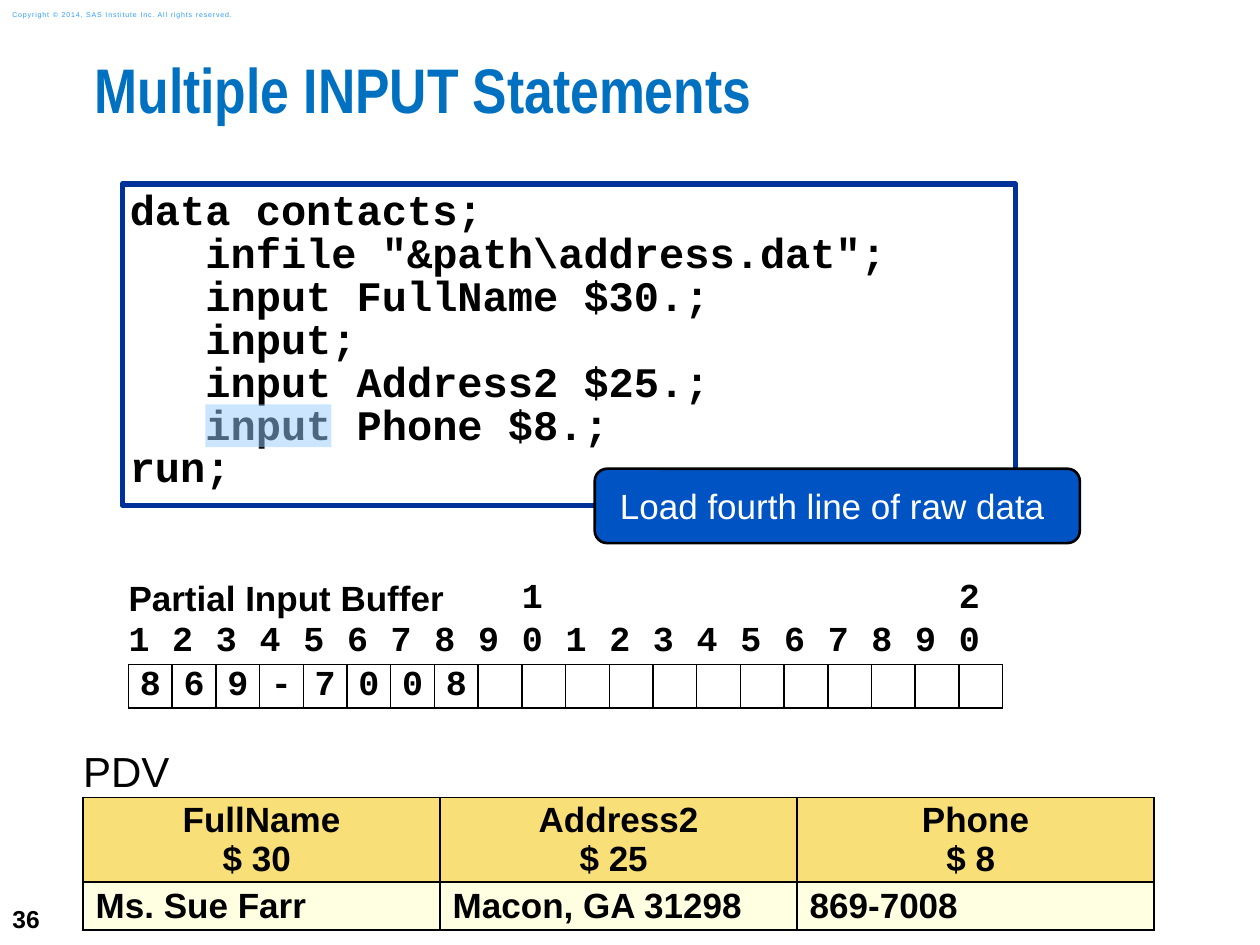
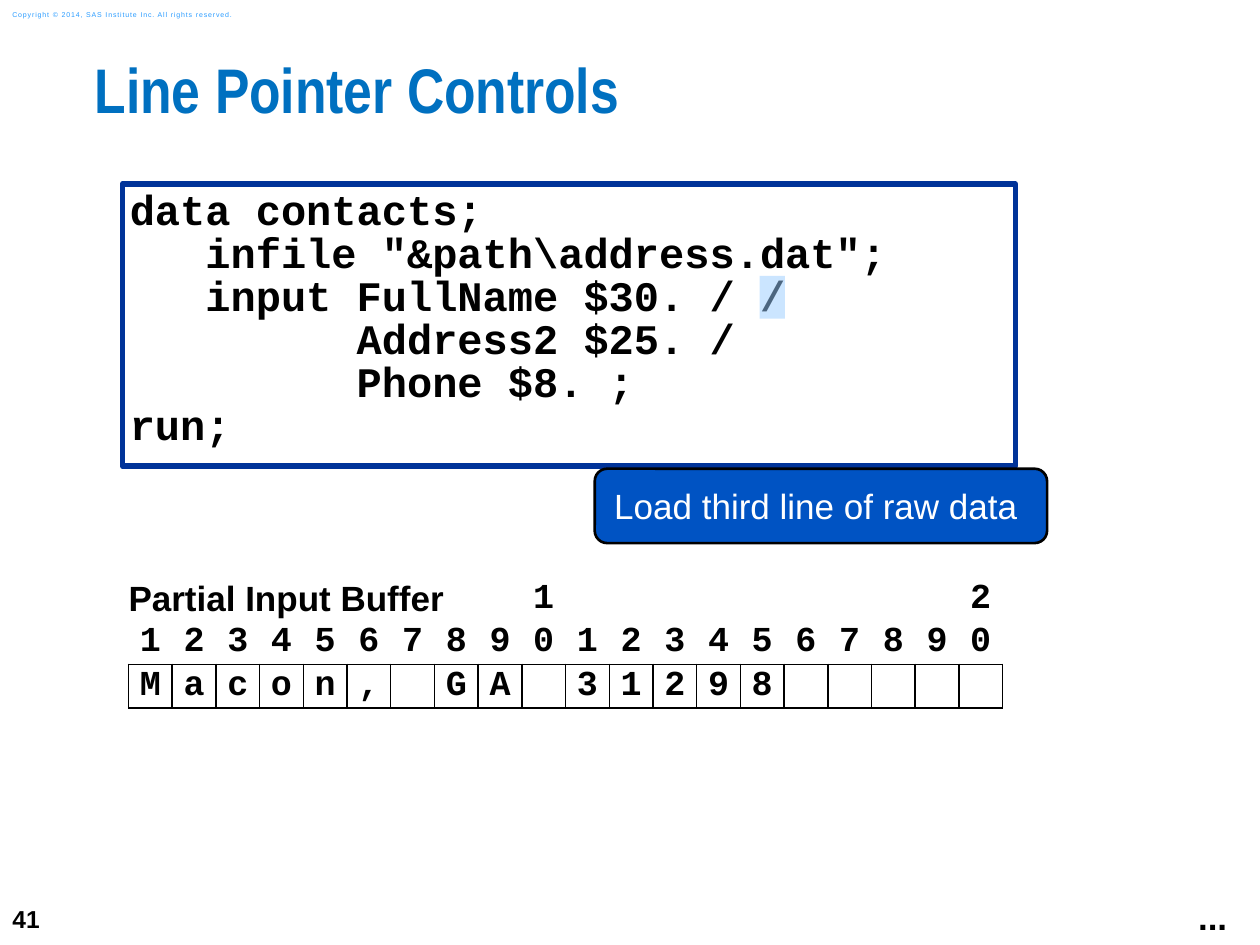
from dataclasses import dataclass

from lxml import etree
from pptx import Presentation
from pptx.dml.color import RGBColor
from pptx.enum.shapes import MSO_SHAPE
from pptx.enum.text import MSO_ANCHOR, MSO_AUTO_SIZE, PP_ALIGN
from pptx.oxml.ns import qn
from pptx.util import Inches, Pt

LEFT, CENTER = PP_ALIGN.LEFT, PP_ALIGN.CENTER
TOP, MIDDLE = MSO_ANCHOR.TOP, MSO_ANCHOR.MIDDLE
RECTANGLE, ROUNDED = MSO_SHAPE.RECTANGLE, MSO_SHAPE.ROUNDED_RECTANGLE

COLORS = {
    "title": "0070C0",
    "copyright": "2A9CFF",
    "text": "000000",
    "paper": "FFFFFF",
    "code_frame": "003399",
    "callout": "0053C3",
    "highlight": "99CCFF",
    "variable": "F9DF78",
    "value": "FFFFE1",
}
SANS, NARROW, MONO = "Arial", "Arial Narrow", "Courier New"
NO_STYLE = "{2D5ABB26-0587-4C30-8999-92F81FD0307C}"
TITLE_ONLY = 5

# The slide is a grid of 100 columns by 75 rows of square units.
COLUMNS, ROWS = 100, 75
UNIT = Inches(0.1)
BUFFER_LENGTH = 20
CODE_INSET = 0.6
CODE_CHAR = 2
CODE_LINE = 3.4


@dataclass
class Box:
    left: float
    top: float
    width: float
    height: float

    def emu(self):
        return [units(n) for n in (self.left, self.top, self.width, self.height)]


TITLE_BOX = Box(7.5, 5, 92.5, 7.4)
COPYRIGHT_BOX = Box(0, 0.3, 21.1, 1.7)
NUMBER_BOX = Box(0, 70.8, 5.8, 4.2)
MORE_BOX = Box(94.1, 70.6, 4.3, 4.4)
BUFFER_BOX = Box(10.2, 45.8, 69.4, 10.4)
PDV_BOX = Box(6.6, 59.4, 85, 14.4)


def units(count):
    return round(count * UNIT)


def rgb(name):
    return RGBColor.from_string(COLORS[name])


def write(frame, lines, size, font=SANS, color="text", bold=False,
          align=LEFT, line_spacing=None):
    frame.text = "\n".join(lines)
    for paragraph in frame.paragraphs:
        paragraph.alignment = align
        paragraph.line_spacing = line_spacing
        paragraph.font.size = Pt(size)
        paragraph.font.name = font
        paragraph.font.bold = bold
        paragraph.font.color.rgb = rgb(color)


def set_frame(frame, inset_x, inset_y, anchor, wrap=True):
    frame.auto_size = MSO_AUTO_SIZE.NONE
    frame.word_wrap = wrap
    frame.vertical_anchor = anchor
    frame.margin_left = frame.margin_right = units(inset_x)
    frame.margin_top = frame.margin_bottom = units(inset_y)


def add_label(slide, box, text, size, anchor=MIDDLE, wrap=True, **style):
    label = slide.shapes.add_textbox(*box.emu())
    set_frame(label.text_frame, 1, 0.5, anchor, wrap)
    write(label.text_frame, [text], size, **style)
    return label.text_frame.paragraphs[0]


def add_panel(slide, kind, box, fill, line=None, line_width=0):
    panel = slide.shapes.add_shape(kind, *box.emu())
    panel.shadow.inherit = False
    panel.fill.solid()
    panel.fill.fore_color.rgb = rgb(fill)
    if line:
        panel.line.color.rgb = rgb(line)
        panel.line.width = Pt(line_width)
    else:
        panel.line.fill.background()
    return panel


def add_base(presentation, title, number):
    """Add a slide with its title, copyright line and page number."""
    slide = presentation.slides.add_slide(presentation.slide_layouts[TITLE_ONLY])
    heading = slide.shapes.title
    heading.left, heading.top, heading.width, heading.height = TITLE_BOX.emu()
    set_frame(heading.text_frame, 0, 0, TOP)
    write(heading.text_frame, [title], 36, NARROW, "title", True,
          line_spacing=0.83)
    copyright_line = add_label(
        slide, COPYRIGHT_BOX,
        "Copyright © 2014, SAS Institute Inc. All rights reserved.",
        4, color="copyright")
    copyright_line.runs[0].font._element.set("spc", "50")
    add_label(slide, NUMBER_BOX, str(number), 14, bold=True)
    return slide


def add_code(slide, left, top, code, marked_line, marked_column, marked_length):
    """Add framed code and a translucent marker over some of its characters."""
    lines = code.split("\n")
    box = Box(left, top, 70.9, 3.8 + 3.1 * len(lines))
    panel = add_panel(slide, RECTANGLE, box, "paper", "code_frame", 3)
    set_frame(panel.text_frame, CODE_INSET, CODE_INSET, TOP)
    write(panel.text_frame, lines, 24, MONO, bold=True, line_spacing=0.85)

    marker_box = Box(left + CODE_INSET + marked_column * CODE_CHAR,
                     top + CODE_INSET + marked_line * CODE_LINE - 0.1,
                     marked_length * CODE_CHAR, CODE_LINE)
    marker = add_panel(slide, RECTANGLE, marker_box, "highlight")
    color = marker.fill._xPr.find(qn("a:solidFill"))[0]
    etree.SubElement(color, qn("a:alpha"), val="50000")


def add_callout(slide, box, text):
    callout = add_panel(slide, ROUNDED, box, "callout", "text", 1.5)
    set_frame(callout.text_frame, 1, 1, MIDDLE)
    write(callout.text_frame, [text], 20, color="paper", align=CENTER)


def add_grid(slide, box, row_heights, column_count):
    """Add an unstyled table with equal columns."""
    table = slide.shapes.add_table(len(row_heights), column_count, *box.emu()).table
    table.first_row = table.horz_banding = False
    table._tbl.tblPr.find(qn("a:tableStyleId")).text = NO_STYLE
    for column in table.columns:
        column.width = units(box.width / column_count)
    for row, height in zip(table.rows, row_heights):
        row.height = units(height)
    return table


def fill_cell(cell, lines, size, inset=0, fill=None, bordered=True, **style):
    cell.margin_left = cell.margin_right = units(inset)
    cell.margin_top = cell.margin_bottom = 0
    cell.vertical_anchor = MIDDLE
    write(cell.text_frame, lines, size, **style)
    if bordered:
        for side in ("a:lnL", "a:lnR", "a:lnT", "a:lnB"):
            border = etree.SubElement(cell._tc.tcPr, qn(side), w=str(Pt(1)))
            paint = etree.SubElement(border, qn("a:solidFill"))
            etree.SubElement(paint, qn("a:srgbClr"), val=COLORS["text"])
    if fill:
        cell.fill.solid()
        cell.fill.fore_color.rgb = rgb(fill)
    else:
        cell.fill.background()


def add_buffer(slide, box, record, ruler_align):
    """Add the input buffer: tens, units, then one character to a cell."""
    table = add_grid(slide, box, [box.height / 3] * 3, BUFFER_LENGTH)
    for index in range(BUFFER_LENGTH):
        tens, ones = divmod(index + 1, 10)
        ruler = {"size": 20, "font": MONO, "bold": True, "bordered": False,
                 "align": ruler_align}
        fill_cell(table.cell(0, index), ["" if ones else str(tens)], **ruler)
        fill_cell(table.cell(1, index), [str(ones)], **ruler)
        fill_cell(table.cell(2, index), [record[index:index + 1].strip()], 20,
                  font=MONO, bold=True, align=CENTER)
    heading = table.cell(0, 0)
    heading.merge(table.cell(0, 8))
    fill_cell(heading, ["Partial Input Buffer"], 20, bold=True, bordered=False)


def add_pdv(slide, box, variables):
    """Add the program data vector from (name, format, value) entries."""
    table = add_grid(slide, box, [3.9, 6.7, 3.8], len(variables))
    heading = table.cell(0, 0)
    heading.merge(table.cell(0, len(variables) - 1))
    fill_cell(heading, ["PDV"], 24, fill="paper", bordered=False)
    for index, (name, storage, value) in enumerate(variables):
        fill_cell(table.cell(1, index), [name, storage], 20, 1, "variable",
                  bold=True, align=CENTER)
        fill_cell(table.cell(2, index), [value], 20, 1, "value", bold=True)


MULTIPLE_INPUT_CODE = r"""data contacts;
   infile "&path\address.dat";
   input FullName $30.;
   input;
   input Address2 $25.;
   input Phone $8.;
run;"""

LINE_POINTER_CODE = r"""data contacts;
   infile "&path\address.dat";
   input FullName $30. / /
         Address2 $25. /
         Phone $8. ;
run;"""

CONTACT = [
    ("FullName", "$ 30 ", "Ms. Sue Farr"),
    ("Address2", "$ 25 ", "Macon, GA 31298"),
    ("Phone", "$ 8 ", "869-7008"),
]


def build_multiple_input(presentation):
    slide = add_base(presentation, "Multiple INPUT Statements", 36)
    add_code(slide, 9.7, 14.6, MULTIPLE_INPUT_CODE, 5, 3, len("input"))
    add_callout(slide, Box(47.2, 37.2, 38.5, 5.9), "Load fourth line of raw data ")
    add_buffer(slide, BUFFER_BOX, "869-7008", LEFT)
    add_pdv(slide, PDV_BOX, CONTACT)


def build_line_pointer(presentation):
    slide = add_base(presentation, "Line Pointer Controls", 41)
    add_label(slide, MORE_BOX, "...", 20, TOP, wrap=False, bold=True, align=CENTER)
    add_code(slide, 9.7, 14.6, LINE_POINTER_CODE, 2, 25, len("/"))
    add_callout(slide, Box(47.2, 37.2, 35.9, 5.9), "Load third line of raw data ")
    add_buffer(slide, BUFFER_BOX, "Macon, GA 31298", CENTER)


def main():
    presentation = Presentation()
    presentation.slide_width = units(COLUMNS)
    presentation.slide_height = units(ROWS)
    build_multiple_input(presentation)
    build_line_pointer(presentation)
    presentation.save("out.pptx")


if __name__ == "__main__":
    main()
